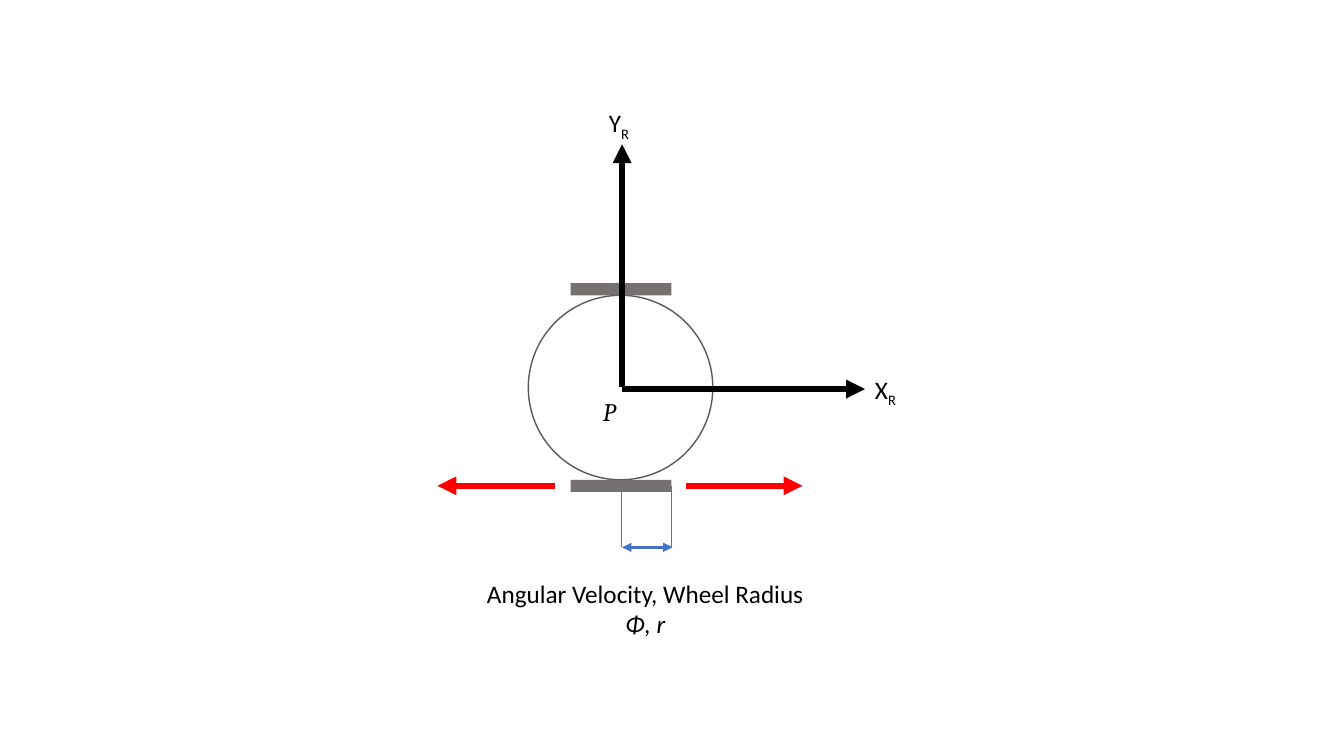
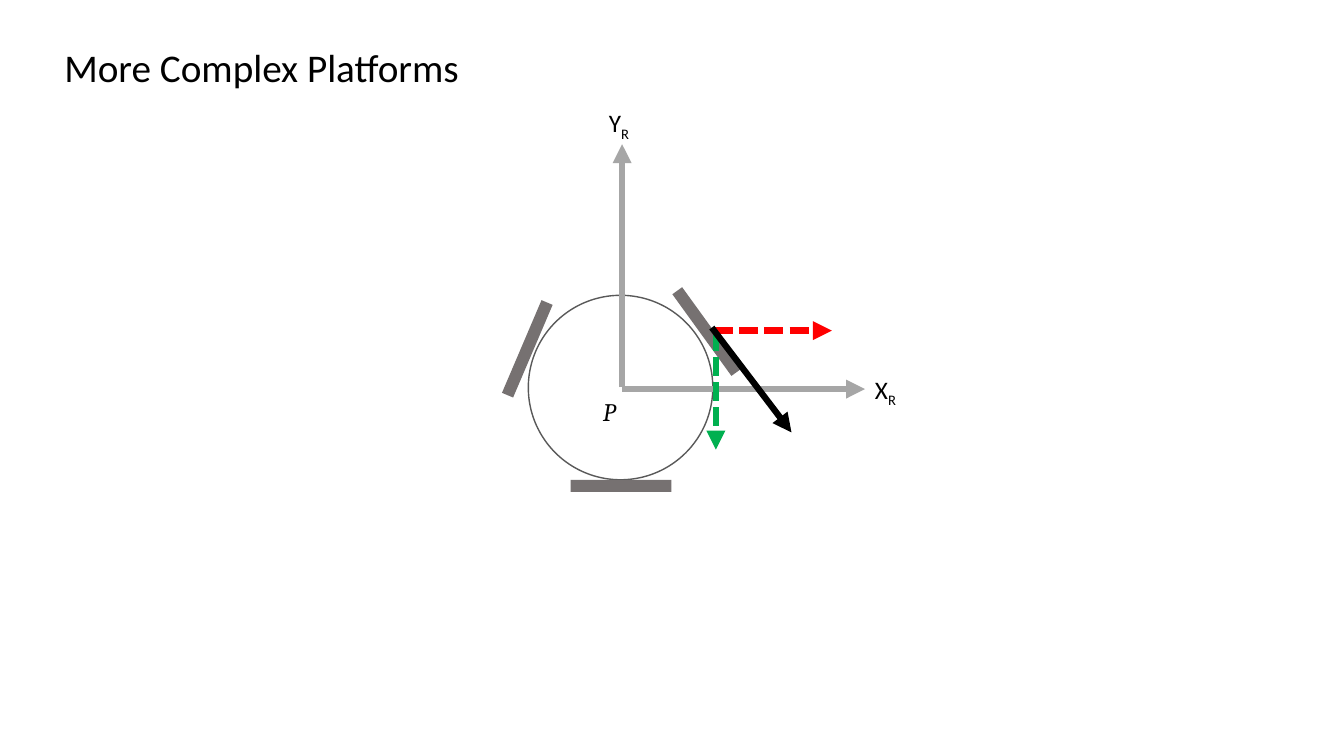
from dataclasses import dataclass
from typing import Optional

from pptx import Presentation
from pptx.dml.color import RGBColor
from pptx.enum.dml import MSO_LINE
from pptx.enum.shapes import MSO_CONNECTOR, MSO_SHAPE
from pptx.enum.text import MSO_AUTO_SIZE, PP_ALIGN
from pptx.oxml.xmlchemy import OxmlElement
from pptx.shapes.autoshape import Shape
from pptx.slide import Slide
from pptx.util import Emu, Pt

TOP, BOTTOM, RIGHT = 0, 2, 3


@dataclass(frozen=True)
class Theme:
    black: str = "000000"
    white: str = "FFFFFF"
    outline: str = "595959"
    wheel: str = "767171"
    faded: str = "A6A6A6"
    blue: str = "4472C4"
    red: str = "FF0000"
    green: str = "00B050"
    font: str = "Calibri"
    math_font: str = "Cambria"
    title_size: int = 28
    label_size: int = 18
    bold_line: float = 4.5
    measure_line: float = 2.25
    guide_line: float = 0.5
    outline_width: float = 1


@dataclass(frozen=True)
class Wheel:
    x: int
    y: int
    angle: float = 0


@dataclass(frozen=True)
class Arrow:
    start: tuple[int, int]
    end: tuple[int, int]
    color: str
    width: float = 4.5
    head: bool = False
    tail: bool = True
    dashed: bool = False


@dataclass(frozen=True)
class Run:
    text: str
    italic: bool = False
    subscript: bool = False


THEME = Theme()
WHEEL_W, WHEEL_H = 100, 12
TOP_WHEEL = Wheel(616, 287)
BOTTOM_WHEEL = Wheel(616, 482)
LEFT_WHEEL = Wheel(523, 346, 293.1)
RIGHT_WHEEL = Wheel(701, 329, 54.1)


def px(n: float) -> Emu:
    return Emu(round(n * 9144))


def rgb(color: str) -> RGBColor:
    return RGBColor.from_string(color)


def add_body(s: Slide, kind: MSO_SHAPE, x: int, y: int, w: int, h: int,
             fill: str, line: Optional[str] = None) -> Shape:
    sp = s.shapes.add_shape(kind, px(x), px(y), px(w), px(h))
    sp.shadow.inherit = False
    sp.fill.solid()
    sp.fill.fore_color.rgb = rgb(fill)
    if line:
        sp.line.color.rgb = rgb(line)
        sp.line.width = Pt(THEME.outline_width)
    else:
        sp.line.fill.background()
    return sp


def add_wheel(s: Slide, wheel: Wheel) -> Shape:
    sp = add_body(s, MSO_SHAPE.RECTANGLE, wheel.x - WHEEL_W // 2,
                  wheel.y - WHEEL_H // 2, WHEEL_W, WHEEL_H, THEME.wheel)
    sp.rotation = wheel.angle
    return sp


def add_arrow(s: Slide, arrow: Arrow, source: Optional[Shape] = None,
              site: int = TOP) -> None:
    begin = [px(n) for n in arrow.start]
    end = [px(n) for n in arrow.end]
    c = s.shapes.add_connector(MSO_CONNECTOR.STRAIGHT, *begin, *end)
    if source is not None:
        c.begin_connect(source, site)
        c.begin_x, c.begin_y = begin
    c.line.color.rgb = rgb(arrow.color)
    c.line.width = Pt(arrow.width)
    if arrow.dashed:
        c.line.dash_style = MSO_LINE.SQUARE_DOT
    ln = c.line._get_or_add_ln()
    for tag, shown in (("a:headEnd", arrow.head), ("a:tailEnd", arrow.tail)):
        if shown:
            tip = OxmlElement(tag)
            tip.set("type", "triangle")
            ln.append(tip)
    c._element.spPr.append(OxmlElement("a:effectLst"))


def add_text(s: Slide, lines: list[list[Run]], x: int, y: int, w: int, h: int, *,
             size: int = THEME.label_size, font: str = THEME.font,
             color: str = THEME.black, align: PP_ALIGN = PP_ALIGN.LEFT,
             wrap: bool = True) -> None:
    tf = s.shapes.add_textbox(px(x), px(y), px(w), px(h)).text_frame
    tf.word_wrap = wrap
    tf.auto_size = MSO_AUTO_SIZE.SHAPE_TO_FIT_TEXT
    for i, line in enumerate(lines):
        p = tf.add_paragraph() if i else tf.paragraphs[0]
        p.alignment = align
        for run in line:
            r = p.add_run()
            r.text = run.text
            r.font.name = font
            r.font.size = Pt(size)
            r.font.color.rgb = rgb(color)
            if run.italic:
                r.font.italic = True
            if run.subscript:
                r.font._element.set("baseline", "-25000")


def add_robot(s: Slide, wheels: list[Wheel], axis_color: str) -> list[Shape]:
    add_body(s, MSO_SHAPE.OVAL, 524, 293, 183, 183, THEME.white, THEME.outline)
    shapes = [add_wheel(s, wheel) for wheel in wheels]
    add_arrow(s, Arrow((617, 386), (858, 386), axis_color))
    add_arrow(s, Arrow((617, 384), (617, 143), axis_color))
    for name, x, y in (("X", 858, 366), ("Y", 594, 102)):
        add_text(s, [[Run(name), Run("R", subscript=True)]], x, y, 46, 40)
    add_text(s, [[Run("P", italic=True)]], 588, 388, 52, 40, font=THEME.math_font)
    return shapes


def build_wheel_radius(s: Slide) -> None:
    _, wheel = add_robot(s, [TOP_WHEEL, BOTTOM_WHEEL], THEME.black)
    for x, y, site in ((666, 482, RIGHT), (616, 488, BOTTOM)):
        guide = Arrow((x, y), (x, 543), THEME.blue, THEME.guide_line, tail=False)
        add_arrow(s, guide, wheel, site)
    add_arrow(s, Arrow((667, 543), (617, 543), THEME.blue, THEME.measure_line, head=True))
    add_text(s, [[Run("Angular Velocity, Wheel Radius")], [Run("Φ, r", italic=True)]],
             471, 569, 338, 101, align=PP_ALIGN.CENTER, wrap=False)
    for start, end in ((680, 796), (550, 434)):
        add_arrow(s, Arrow((start, 482), (end, 482), THEME.red))


def build_complex_platforms(s: Slide) -> None:
    wheels = [BOTTOM_WHEEL, LEFT_WHEEL, RIGHT_WHEEL]
    driven = add_robot(s, wheels, THEME.faded)[-1]
    add_arrow(s, Arrow((708, 328), (825, 328), THEME.red, dashed=True))
    add_arrow(s, Arrow((710, 329), (710, 446), THEME.green, dashed=True))
    add_arrow(s, Arrow((706, 325), (785, 429), THEME.black), driven, TOP)
    add_text(s, [[Run("More Complex Platforms")]], 54, 38, 412, 57,
             size=THEME.title_size, wrap=False)


def main() -> None:
    prs = Presentation()
    prs.slide_width, prs.slide_height = px(1333), px(750)
    for build in (build_wheel_radius, build_complex_platforms):
        build(prs.slides.add_slide(prs.slide_layouts[6]))
    prs.save("out.pptx")


if __name__ == "__main__":
    main()
